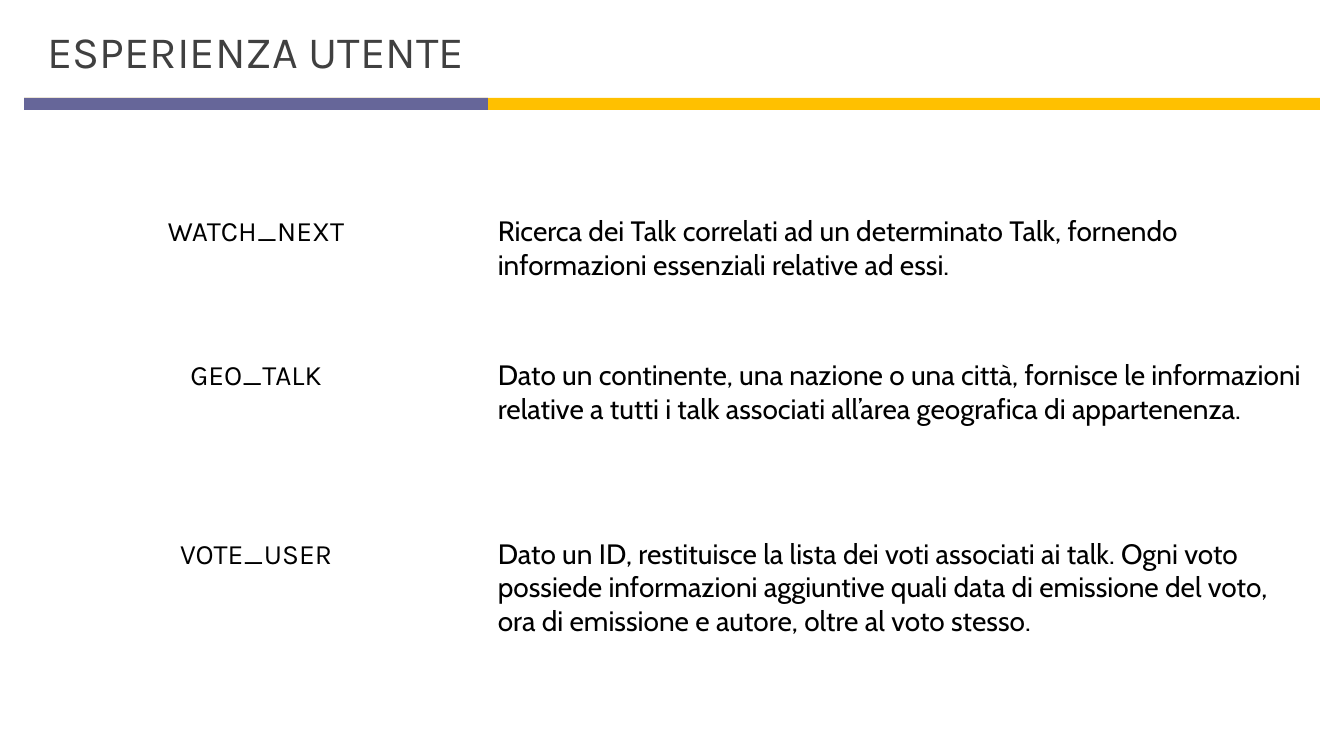
from dataclasses import dataclass

from pptx import Presentation
from pptx import util as u
from pptx.dml.color import RGBColor
from pptx.enum import shapes, text


@dataclass(frozen=True)
class Theme:
    purple: str = "666699"
    yellow: str = "FFC000"
    grey: str = "404040"
    black: str = "000000"
    heading_font: str = "Karla"
    body_font: str = "Cabin"
    title_size: int = 32
    body_size: int = 20


class Deck:
    def __init__(self, theme):
        self.theme = theme
        self.prs = Presentation()
        self.prs.slide_width, self.prs.slide_height = u.Pt(960), u.Pt(540)
        self.s = self.prs.slides.add_slide(self.prs.slide_layouts[6])

    def bar(self, x, y, w, h, color):
        sp = self.s.shapes.add_shape(
            shapes.MSO_SHAPE.RECTANGLE, u.Pt(x), u.Pt(y), u.Pt(w), u.Pt(h))
        sp.shadow.inherit = False
        sp.fill.solid()
        sp.fill.fore_color.rgb = RGBColor.from_string(color)
        sp.line.fill.background()

    def label(self, x, y, w, h, words, font, size, color, align):
        sp = self.s.shapes.add_textbox(u.Pt(x), u.Pt(y), u.Pt(w), u.Pt(h))
        tf = sp.text_frame
        tf.word_wrap = True
        tf.auto_size = text.MSO_AUTO_SIZE.SHAPE_TO_FIT_TEXT
        p = tf.paragraphs[0]
        p.text = words
        p.alignment = align
        p.font.name = font
        p.font.size = u.Pt(size)
        p.font.color.rgb = RGBColor.from_string(color)


# Two columns: function name and description
LEFT, NAME_W, DESC_W = 17.3, 331.2, 594.4
DESC_LEFT = LEFT + NAME_W
LINE_H, INSETS = 24.3, 7.2

# Top of row, function name, description, lines it takes
FUNCTIONS = [
    (149, "WATCH_NEXT",
     "Ricerca dei Talk correlati ad un determinato Talk, fornendo "
     "informazioni essenziali relative ad essi.", 2),
    (252, "GEO_TALK",
     "Dato un continente, una nazione o una città, fornisce le informazioni "
     "relative a tutti i talk associati all’area geografica di appartenenza.", 2),
    (379.4, "VOTE_USER",
     "Dato un ID, restituisce la lista dei voti associati ai talk. Ogni voto "
     "possiede informazioni aggiuntive quali data di emissione del voto, "
     "ora di emissione e autore, oltre al voto stesso.", 3),
]


def main():
    t = Theme()
    deck = Deck(t)
    center, left = text.PP_ALIGN.CENTER, text.PP_ALIGN.LEFT

    # Header rule and title
    deck.bar(LEFT, 70, NAME_W + DESC_W, 8.6, t.yellow)
    deck.bar(LEFT, 70, NAME_W, 8.6, t.purple)
    deck.label(LEFT, 13.7, NAME_W, 46, "ESPERIENZA UTENTE",
               t.heading_font, t.title_size, t.grey, center)

    # Function rows
    for y, name, description, lines in FUNCTIONS:
        deck.label(LEFT, y, NAME_W, LINE_H + INSETS, name,
                   t.heading_font, t.body_size, t.black, center)
        deck.label(DESC_LEFT, y, DESC_W, lines * LINE_H + INSETS, description,
                   t.body_font, t.body_size, t.black, left)

    deck.prs.save("out.pptx")


if __name__ == "__main__":
    main()
